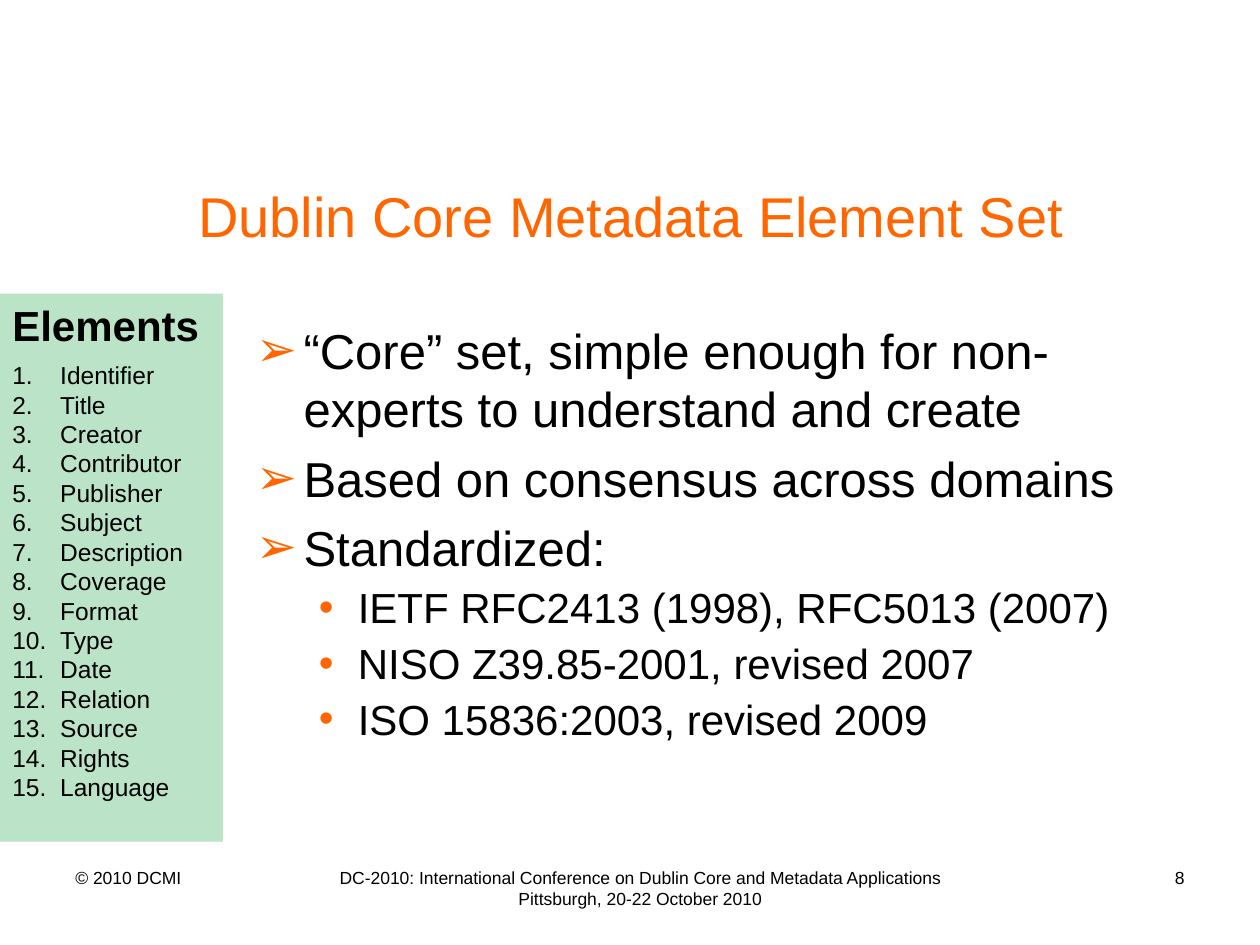
from lxml.etree import SubElement
from pptx import Presentation
from pptx.dml.color import RGBColor
from pptx.enum.shapes import MSO_SHAPE
from pptx.enum.text import MSO_ANCHOR, MSO_AUTO_SIZE, PP_ALIGN
from pptx.oxml.ns import qn
from pptx.util import Inches, Pt

ORANGE = RGBColor(0xFF, 0x66, 0x00)
GREEN = RGBColor(0xBB, 0xE3, 0xC7)
BLACK = RGBColor(0, 0, 0)

TITLE = "Dublin Core Metadata Element Set"
POINTS = [  # (level, text)
    (0, "“Core” set, simple enough for non-experts to understand and create"),
    (0, "Based on consensus across domains"),
    (0, "Standardized:"),
    (1, "IETF RFC2413 (1998), RFC5013 (2007)"),
    (1, "NISO Z39.85-2001, revised 2007"),
    (1, "ISO 15836:2003, revised 2009"),
]
LEVELS = [  # bullet, size, space before, left margin, hanging indent
    ("➢", 28, 6, 0.38, 0.38),
    ("•", 24, 3, 0.81, 0.31),
]
SIDEBAR_HEADING = "Elements"
ELEMENTS = [
    "Identifier", "Title", "Creator", "Contributor", "Publisher",
    "Subject", "Description", "Coverage", "Format", "Type",
    "Date", "Relation", "Source", "Rights", "Language",
]
FOOTERS = [  # left, width, alignment, text
    (0.5, 1.9, PP_ALIGN.LEFT, "© 2010 DCMI"),
    (2.48, 5.2, PP_ALIGN.CENTER,
     "DC-2010: International Conference on Dublin Core and Metadata Applications "
     "Pittsburgh, 20-22 October 2010"),
    (7.76, 1.74, PP_ALIGN.RIGHT, "8"),
]
FOOTER_TOP, FOOTER_HEIGHT = 6.83, 0.52
SIDEBAR_WIDTH = 1.77


def place(shape, left, top, width, height):
    shape.left, shape.top = Inches(left), Inches(top)
    shape.width, shape.height = Inches(width), Inches(height)


def fill_text(shape, lines, size, color=BLACK, align=PP_ALIGN.LEFT,
              anchor=MSO_ANCHOR.TOP, bold=False):
    frame = shape.text_frame
    frame.text = "\n".join(lines)
    frame.word_wrap = True
    frame.auto_size = MSO_AUTO_SIZE.NONE
    frame.vertical_anchor = anchor
    for para in frame.paragraphs:
        para.alignment = align
        for span in para.runs:
            span.font.name = "Arial"
            span.font.size = Pt(size)
            span.font.bold = bold
            span.font.color.rgb = color
    return frame.paragraphs


def indent(para, margin, hanging):
    properties = para._p.get_or_add_pPr()
    properties.set("marL", str(Inches(margin)))
    properties.set("indent", str(-Inches(hanging)))
    return properties


def add_bullet(para, character, margin, hanging):
    properties = indent(para, margin, hanging)
    color = SubElement(properties, qn("a:buClr"))
    SubElement(color, qn("a:srgbClr"), val=str(ORANGE))
    SubElement(properties, qn("a:buFont"), typeface="Arial")
    SubElement(properties, qn("a:buChar"), char=character)


def add_panel(page, top, height):
    panel = page.shapes.add_shape(
        MSO_SHAPE.RECTANGLE, 0, Inches(top), Inches(SIDEBAR_WIDTH), Inches(height))
    panel.shadow.inherit = False
    panel.fill.solid()
    panel.fill.fore_color.rgb = GREEN
    panel.line.fill.background()
    return panel


def main():
    deck = Presentation()
    deck.slide_width, deck.slide_height = Inches(10), Inches(7.5)
    page = deck.slides.add_slide(deck.slide_layouts[1])

    title, body = page.placeholders
    place(title, 0.51, 1.31, 9, 0.79)
    fill_text(title, [TITLE], 32, ORANGE, PP_ALIGN.CENTER, MSO_ANCHOR.MIDDLE)

    place(body, 1.93, 2.49, 7.58, 3.97)
    paragraphs = fill_text(body, [text for _, text in POINTS], 28)
    for para, (level, _) in zip(paragraphs, POINTS):
        bullet, size, space, margin, hanging = LEVELS[level]
        para.level = level
        para.space_before = Pt(space)
        para.runs[0].font.size = Pt(size)
        add_bullet(para, bullet, margin, hanging)

    for left, width, align, text in FOOTERS:
        box = page.shapes.add_textbox(
            Inches(left), Inches(FOOTER_TOP), Inches(width), Inches(FOOTER_HEIGHT))
        fill_text(box, [text], 10, align=align)

    heading = add_panel(page, 2.33, 0.5)
    fill_text(heading, [SIDEBAR_HEADING], 24, anchor=MSO_ANCHOR.MIDDLE, bold=True)

    element_list = add_panel(page, 2.81, 3.87)
    for para in fill_text(element_list, ELEMENTS, 14):
        properties = indent(para, 0.38, 0.38)
        SubElement(properties, qn("a:buFont"), typeface="Arial")
        SubElement(properties, qn("a:buAutoNum"), type="arabicPeriod")

    deck.save("out.pptx")


if __name__ == "__main__":
    main()
